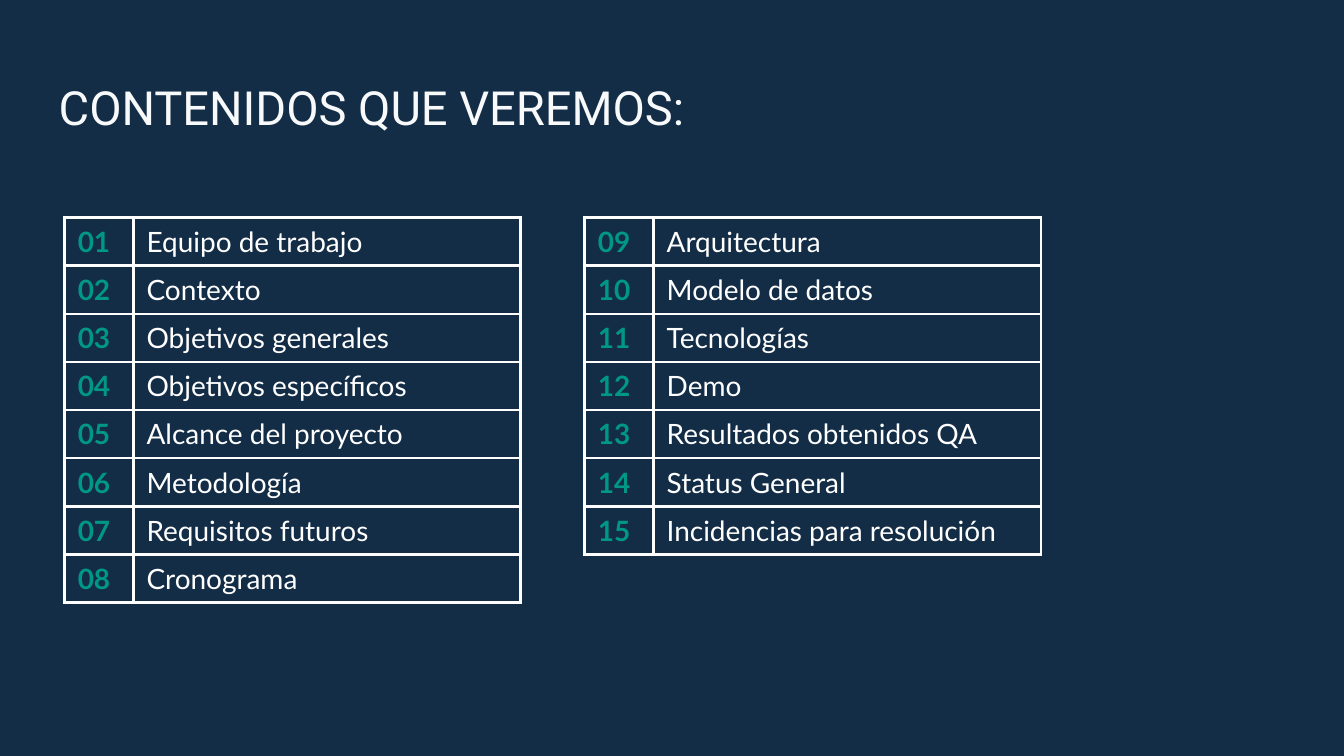
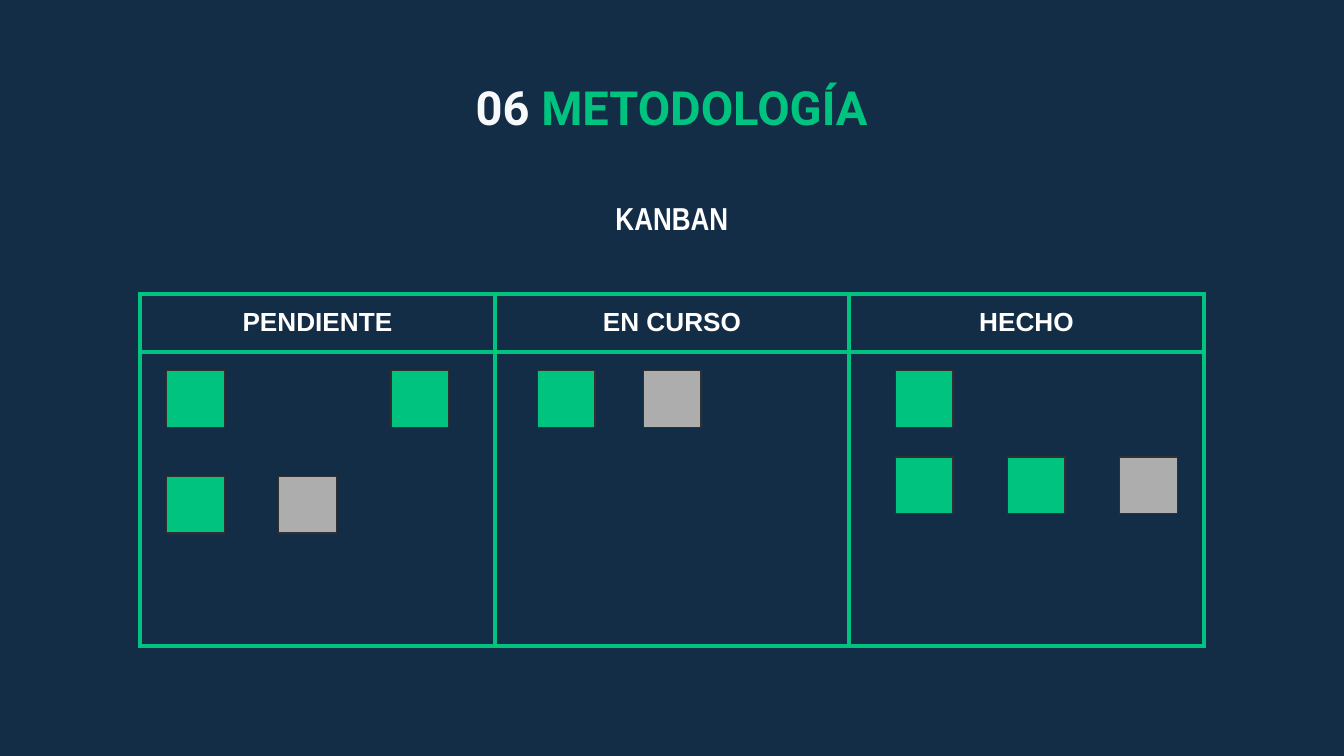
import dataclasses

import lxml.etree
import pptx
import pptx.dml.color
import pptx.enum.shapes
import pptx.enum.text
import pptx.util

Cm, Pt = pptx.util.Cm, pptx.util.Pt
ALIGN = pptx.enum.text.PP_ALIGN
ANCHOR = pptx.enum.text.MSO_ANCHOR
RECT = pptx.enum.shapes.MSO_SHAPE.RECTANGLE
NS = "http://schemas.openxmlformats.org/drawingml/2006/main"

TOPICS = [
    "Equipo de trabajo", "Contexto", "Objetivos generales",
    "Objetivos específicos", "Alcance del proyecto", "Metodología",
    "Requisitos futuros", "Cronograma", "Arquitectura", "Modelo de datos",
    "Tecnologías", "Demo", "Resultados obtenidos QA", "Status General",
    "Incidencias para resolución",
]
SPLIT = 8  # topics in the first table

# Heading, left of first card, card step, row step, card rows.
# In the rows: v = green card, g = grey card, . = free slot.
LANES = [
    ("PENDIENTE", 3.15, 2.12, 2.0, ["v.v", "vg"]),
    ("EN CURSO", 10.16, 2.0, 2.0, ["vg"]),
    ("HECHO", 16.92, 2.12, 1.63, ["v", "vvg"]),
]


@dataclasses.dataclass(frozen=True)
class Theme:
    back: str = "132D46"
    pale: str = "F8F9FA"
    white: str = "FFFFFF"
    teal: str = "009688"
    green: str = "01C380"
    grey: str = "ADADAD"
    edge: str = "303030"
    title: float = 25.2
    sub: float = 17
    item: float = 15
    head: float = 14


T = Theme()


def rgb(hue):
    return pptx.dml.color.RGBColor.from_string(hue)


def paint(fill, hue):
    fill.solid()
    fill.fore_color.rgb = rgb(hue)


def style(run, face, size, hue, bold=False):
    font = run.font
    font.name, font.size, font.bold = face, Pt(size), bold
    font.color.rgb = rgb(hue)


def page(deck):
    """Add a blank slide with the shared background."""
    slide = deck.slides.add_slide(deck.slide_layouts[6])
    paint(slide.background.fill, T.back)
    return slide


def label(slide, box, align, anchor=ANCHOR.TOP):
    """Add an empty text box and return its paragraph."""
    frame = slide.shapes.add_textbox(*map(Cm, box)).text_frame
    frame.word_wrap = True
    frame.vertical_anchor = anchor
    frame.margin_left = frame.margin_right = Cm(0.25)
    frame.margin_top = frame.margin_bottom = Cm(0.25)
    para = frame.paragraphs[0]
    para.alignment = align
    return para


def title(slide, parts, align, bold=False):
    para = label(slide, (0.86, 1.24, 23.67, 1.6), align)
    for text, hue in parts:
        run = para.add_run()
        run.text = text
        style(run, "Roboto", T.title, hue, bold)


def border(cell, hue, width):
    props = cell._tc.get_or_add_tcPr()
    for spot, side in enumerate("LRTB"):
        line = lxml.etree.Element(f"{{{NS}}}ln{side}", w=str(Pt(width)))
        fill = lxml.etree.SubElement(line, f"{{{NS}}}solidFill")
        lxml.etree.SubElement(fill, f"{{{NS}}}srgbClr", val=hue)
        props.insert(spot, line)


def grid(slide, left, top, cols, rows, hue, width):
    """Add a plain bordered table with the given column and row sizes."""
    shape = slide.shapes.add_table(
        len(rows), len(cols), Cm(left), Cm(top), Cm(sum(cols)), Cm(sum(rows)))
    table = shape.table
    table.first_row = table.horz_banding = False
    for col, size in zip(table.columns, cols):
        col.width = Cm(size)
    for row, size in zip(table.rows, rows):
        row.height = Cm(size)
    for cell in table.iter_cells():
        paint(cell.fill, T.back)
        border(cell, hue, width)
    return table


def write(cell, text, face, size, hue, bold, pad):
    cell.text_frame.text = text
    cell.margin_left = cell.margin_right = Cm(0.25)
    cell.margin_top = cell.margin_bottom = Cm(pad)
    para = cell.text_frame.paragraphs[0]
    style(para.runs[0], face, size, hue, bold)
    return para


def index(deck):
    slide = page(deck)
    title(slide, [("CONTENIDOS QUE VEREMOS:", T.pale)], ALIGN.LEFT)
    lists = [(1, 1.22, TOPICS[:SPLIT]), (SPLIT + 1, 11.05, TOPICS[SPLIT:])]
    for first, left, names in lists:
        table = grid(slide, left, 4.11, [1.3, 7.32], [0.91] * len(names),
                     T.white, 1.5)
        for row, name in enumerate(names):
            num, item = table.cell(row, 0), table.cell(row, 1)
            num.fill.background()
            write(num, f"{first + row:02}", "Lato", T.item, T.teal, True, 0)
            write(item, name, "Lato", T.item, T.white, False, 0)
            num.vertical_anchor = item.vertical_anchor = ANCHOR.MIDDLE


def card(slide, left, top, hue):
    shape = slide.shapes.add_shape(
        RECT, Cm(left), Cm(top), Cm(1.09), Cm(1.07))
    shape.shadow.inherit = False
    paint(shape.fill, hue)
    shape.line.color.rgb = rgb(T.edge)
    shape.line.width = Pt(0.75)


def board(deck):
    slide = page(deck)
    title(slide, [("06", T.pale), (" METODOLOGÍA", T.green)],
          ALIGN.CENTER, True)
    para = label(slide, (7.94, 3.66, 9.52, 1.07), ALIGN.CENTER, ANCHOR.BOTTOM)
    para.text = "KANBAN"
    para.line_spacing = 1.15
    style(para.runs[0], "Arial Narrow", T.sub, T.white, True)

    table = grid(slide, 2.65, 5.56, [6.7] * len(LANES), [1.05, 5.56],
                 T.green, 2.25)
    hues = {"v": T.green, "g": T.grey}
    for col, (name, left, step, drop, rows) in enumerate(LANES):
        para = write(table.cell(0, col), name, "Arial", T.head, T.white,
                     True, 0.25)
        para.alignment = ALIGN.CENTER
        for row, slots in enumerate(rows):
            for slot, mark in enumerate(slots):
                if mark in hues:
                    card(slide, left + slot * step, 7.01 + row * drop,
                         hues[mark])


def main():
    deck = pptx.Presentation()
    deck.slide_width, deck.slide_height = Cm(25.4), Cm(14.29)
    index(deck)
    board(deck)
    deck.save("out.pptx")


if __name__ == "__main__":
    main()
